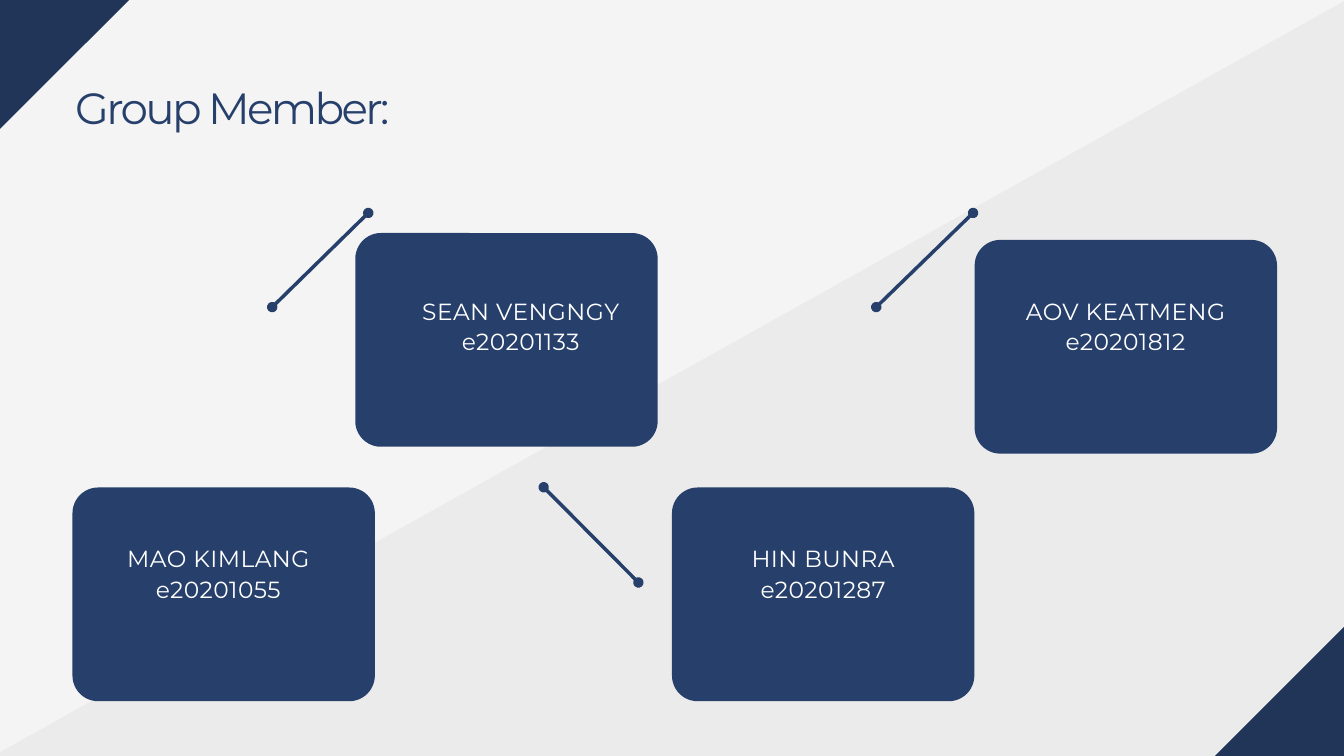
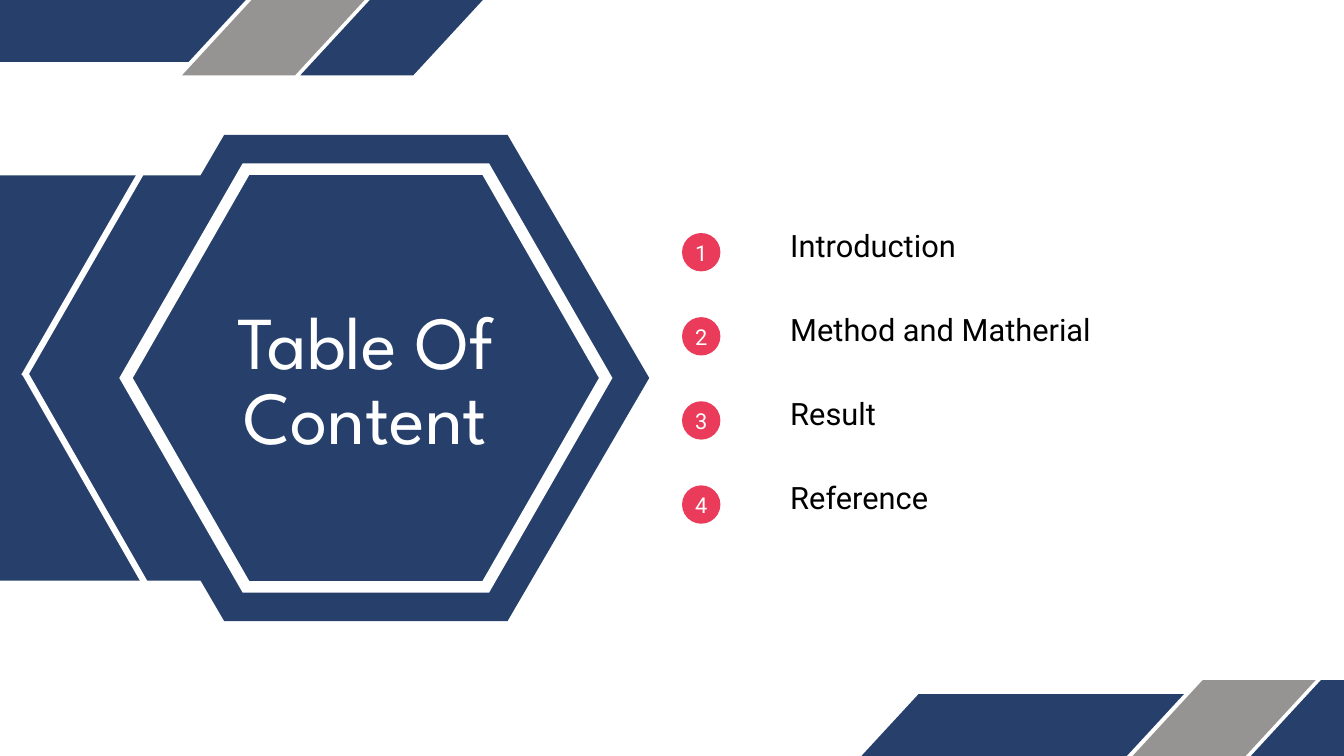
from dataclasses import dataclass

from lxml.etree import SubElement
from pptx import Presentation
from pptx.dml.color import RGBColor
from pptx.enum.shapes import MSO_CONNECTOR, MSO_SHAPE
from pptx.enum.text import MSO_ANCHOR, MSO_AUTO_SIZE, PP_ALIGN
from pptx.oxml.ns import qn
from pptx.util import Cm, Pt


# Theme: colours, fonts and type sizes
@dataclass(frozen=True)
class Theme:
    navy: str = "263F6B"
    dark: str = "213559"
    grey: str = "969393"
    shade: str = "545454"
    pale: str = "F4F4F4"
    white: str = "FFFFFF"
    black: str = "000000"
    red: str = "EB3B5A"
    sans: str = "Montserrat"
    round: str = "League Spartan"
    plain: str = "Roboto"
    head: float = 46.8
    cover: float = 80
    name: float = 25
    item: float = 33
    mark: float = 23.4


T = Theme()


@dataclass(frozen=True)
class Style:
    font: str
    size: float
    color: str
    lead: float
    align: PP_ALIGN = PP_ALIGN.LEFT
    track: float = 0


HEAD = Style(T.sans, T.head, T.navy, 45.9, track=-2.8)
COVER = Style(T.round, T.cover, T.white, 80, PP_ALIGN.CENTER)
NAME = Style(T.sans, T.name, T.white, 32.5, PP_ALIGN.CENTER, 0.5)
ITEM = Style(T.plain, T.item, T.black, 40.9)
MARK = Style(T.plain, T.mark, T.white, 29, PP_ALIGN.CENTER)

FRAME = {"margin_left": 0, "margin_top": 0, "margin_right": 0,
         "margin_bottom": 0, "word_wrap": True,
         "auto_size": MSO_AUTO_SIZE.NONE, "vertical_anchor": MSO_ANCHOR.TOP}


# Parts that repeat; all lengths in centimetres
@dataclass(frozen=True)
class Box:
    left: float
    top: float
    width: float
    height: float

    def place(self) -> tuple:
        return tuple(Cm(v) for v in (self.left, self.top, self.width, self.height))


@dataclass(frozen=True)
class Card:
    left: float
    top: float
    text_left: float
    text_top: float
    name: str
    code: str


@dataclass(frozen=True)
class Link:
    start: tuple
    end: tuple


@dataclass(frozen=True)
class Band:
    left: float
    top: float
    width: float
    height: float
    skew: float
    color: str


CARDS = [
    Card(2.74, 18.43, 2.54, 20.5, "MAO KIMLANG", "e20201055"),
    Card(13.43, 8.81, 13.97, 11.15, "SEAN VENGNGY", "e20201133"),
    Card(36.84, 9.07, 36.83, 11.15, "AOV KEATMENG", "e20201812"),
    Card(25.4, 18.43, 25.4, 20.5, "HIN BUNRA", "e20201287"),
]
LINKS = [
    Link((10.29, 11.61), (13.92, 8.05)),
    Link((33.12, 11.61), (36.78, 8.05)),
    Link((24.13, 22.02), (20.55, 18.42)),
]
BANDS = [
    Band(-2.9, 0, 12.19, 2.34, 2.16, T.navy),
    Band(6.88, -0.53, 4.27 + 3.12, 3.38, 3.12, T.grey),
    Band(11.35, -0.53, 4.27 + 3.12, 3.38, 3.12, T.navy),
]
SHIFTS = [(0, 0), (35.46, 26.24)]
EDGES = [Link((5.51, 22.1), (0.94, 14.1)), Link((0.91, 14.22), (5.51, 6.22))]
TOPICS = ["Introduction", "Method and Matherial", "Result", "Reference"]

WIDE, HIGH = 50.8, 28.58
STEP = 3.18


# Drawing tools
def tint(shape, color: str) -> None:
    shape.shadow.inherit = False
    shape.fill.solid()
    shape.fill.fore_color.rgb = RGBColor.from_string(color)
    shape.line.fill.background()


def write(shape, lines: list, style: Style, **extra) -> None:
    frame = shape.text_frame
    for key, value in {**FRAME, **extra}.items():
        setattr(frame, key, value)
    frame.text = "\n".join(lines)
    look = {"name": style.font, "size": Pt(style.size), "bold": False}
    for para in frame.paragraphs:
        para.alignment = style.align
        para.line_spacing = Pt(style.lead)
        for run in para.runs:
            for key, value in look.items():
                setattr(run.font, key, value)
            run.font.color.rgb = RGBColor.from_string(style.color)
            if style.track:
                run.font._element.set("spc", str(round(style.track * 100)))


def label(slide, box: Box, lines: list, style: Style) -> None:
    write(slide.shapes.add_textbox(*box.place()), lines, style)


def block(slide, kind: MSO_SHAPE, box: Box, color: str, turn: float = 0):
    shape = slide.shapes.add_shape(kind, *box.place())
    tint(shape, color)
    shape.rotation = turn
    return shape


def outline(slide, rings: list, color: str) -> None:
    rings = [[(Cm(x), Cm(y)) for x, y in ring] for ring in rings]
    build = slide.shapes.build_freeform(*rings[0][0])
    for pos, ring in enumerate(rings):
        if pos:
            build.move_to(*ring[0])
        build.add_line_segments(ring[1:], close=True)
    tint(build.convert_to_shape(), color)


def hexagon(reach: float, rise: float) -> list:
    x, y, half = 13.83, HIGH / 2, reach / 2
    return [(x + reach, y), (x + half, y + rise), (x - half, y + rise),
            (x - reach, y), (x - half, y - rise), (x + half, y - rise)]


def slant(slide, band: Band, shift: tuple) -> None:
    left, top = band.left + shift[0], band.top + shift[1]
    right, base = left + band.width, top + band.height
    outline(slide, [[(left + band.skew, top), (right, top),
                     (right - band.skew, base), (left, base)]], band.color)


def connect(slide, link: Link, color: str, weight: float, dots: bool = False) -> None:
    ends = [Cm(v) for v in link.start + link.end]
    line = slide.shapes.add_connector(MSO_CONNECTOR.STRAIGHT, *ends)
    line.line.color.rgb = RGBColor.from_string(color)
    line.line.width = Pt(weight)
    if dots:
        for tag in ("a:headEnd", "a:tailEnd"):
            SubElement(line.line._get_or_add_ln(), qn(tag), type="oval")
    SubElement(line.element.spPr, qn("a:effectLst"))


def start(deck, color: str):
    slide = deck.slides.add_slide(deck.slide_layouts[5])
    fill = slide.background.fill
    fill.solid()
    fill.fore_color.rgb = RGBColor.from_string(color)
    return slide


def title(slide, box: Box, text: str, style: Style) -> None:
    shape = slide.shapes.title
    spots = zip(("left", "top", "width", "height"), box.place())
    for key, value in spots:
        setattr(shape, key, value)
    write(shape, [text], style)
    slide.shapes.element.append(shape.element)  # bring to front


# Slide 1: group members
def members(deck) -> None:
    slide = start(deck, T.pale)
    sweep = block(slide, MSO_SHAPE.RECTANGLE, Box(-3.1, 12.09, 71.63, 26.62), T.shade, 330.8)
    solid = sweep.element.spPr.find(qn("a:solidFill"))
    SubElement(solid[0], qn("a:alpha"), val="5000")

    for card in CARDS:
        shape = block(slide, MSO_SHAPE.ROUNDED_RECTANGLE,
                      Box(card.left, card.top, 11.43, 8.08), T.navy)
        shape.adjustments[0] = 0.12
    for card in CARDS:
        label(slide, Box(card.text_left, card.text_top, 11.43, 2.24),
              [card.name, card.code], NAME)
    title(slide, Box(2.84, 3.43, 14.17, 1.68), "Group Member:", HEAD)
    for link in LINKS:
        connect(slide, link, T.navy, 3.75, dots=True)

    # Corners, each centred on a slide corner
    wide, high = 14.7, 6.9
    for x, y in ((WIDE, HIGH), (0, 0)):
        block(slide, MSO_SHAPE.RECTANGLE,
              Box(x - wide / 2, y - high / 2, wide, high), T.dark, 315)


# Slide 2: table of content
def content(deck) -> None:
    slide = start(deck, T.white)
    outline(slide, [hexagon(10.71, 9.19)], T.navy)
    block(slide, MSO_SHAPE.RECTANGLE, Box(-0.94, 6.63, 18.16, 15.32), T.navy)
    for band in BANDS:
        for shift in SHIFTS:
            slant(slide, band, shift)
    outline(slide, [hexagon(9.32, 8.11), hexagon(8.81, 7.68)], T.white)
    for edge in EDGES:
        connect(slide, edge, T.white, 6.75)
    title(slide, Box(5.28, 11.71, 17.07, 5.77), "Table Of Content", COVER)

    # Numbered topics
    for pos, topic in enumerate(TOPICS):
        drop = pos * STEP
        badge = block(slide, MSO_SHAPE.OVAL, Box(25.78, 8.81 + drop, 1.45, 1.45), T.red)
        write(badge, [str(pos + 1)], MARK, vertical_anchor=MSO_ANCHOR.MIDDLE, word_wrap=False)
        width = 15.11 if len(topic) > 12 else 7.75
        label(slide, Box(29.87, 8.53 + drop, width, 1.68), [topic], ITEM)


def main() -> None:
    deck = Presentation()
    deck.slide_width, deck.slide_height = Cm(WIDE), Cm(HIGH)
    members(deck)
    content(deck)
    deck.save("out.pptx")


if __name__ == "__main__":
    main()
